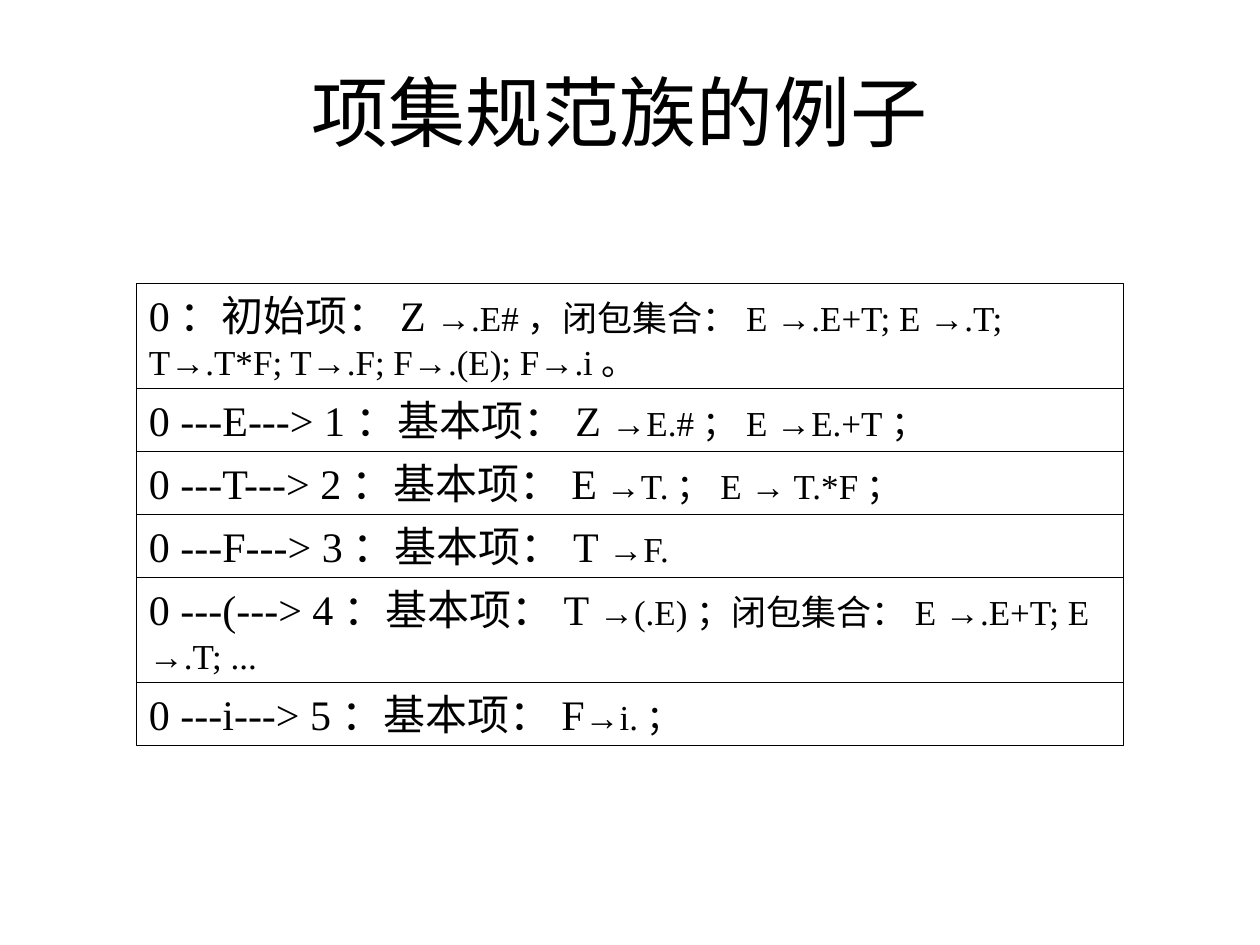
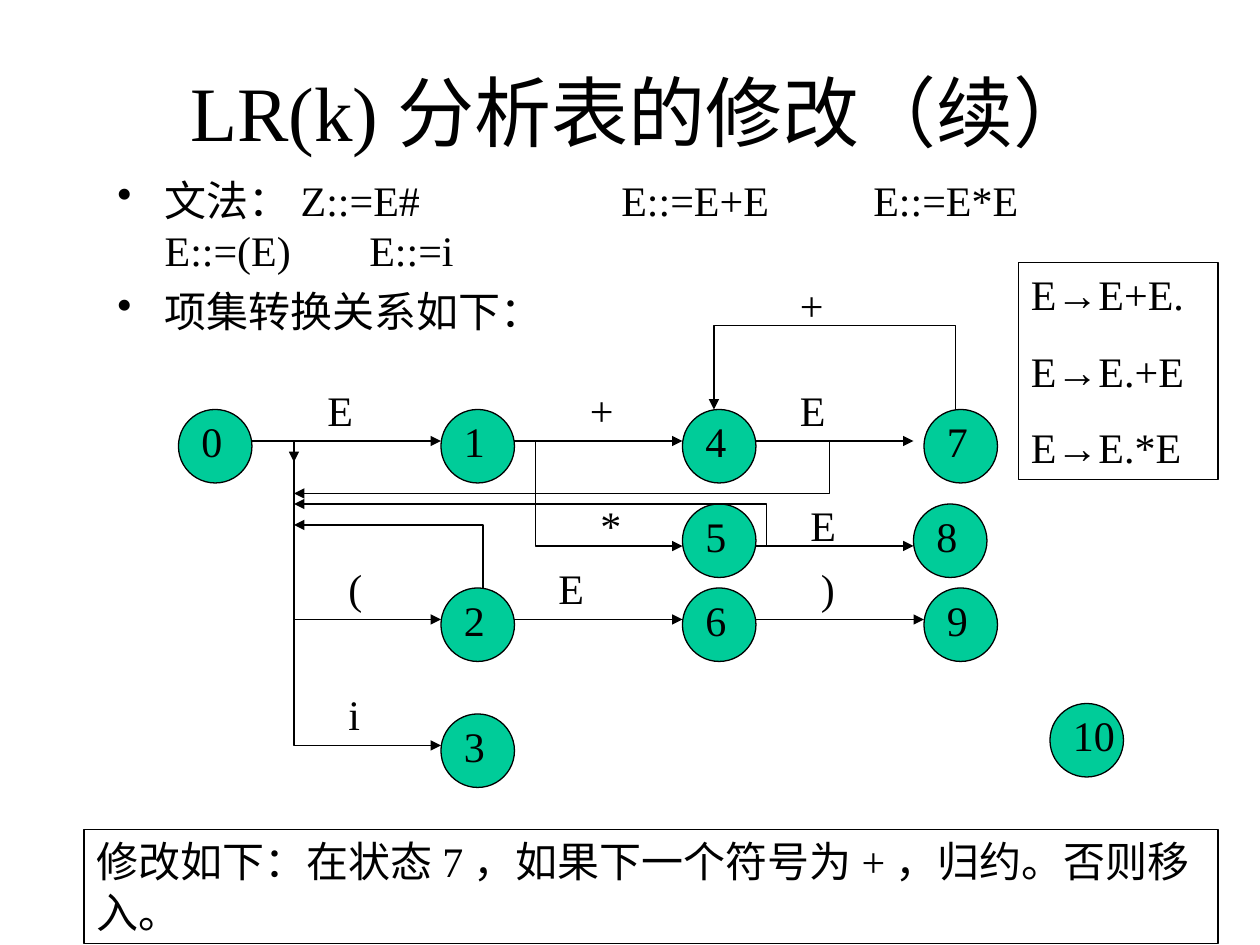
"""Build two slides on LR item sets: a stack of item sets and a state diagram."""
from lxml import etree
from pptx import Presentation
from pptx.dml.color import RGBColor
from pptx.enum.shapes import MSO_CONNECTOR, MSO_SHAPE
from pptx.enum.text import MSO_ANCHOR, MSO_AUTO_SIZE, PP_ALIGN
from pptx.oxml.ns import qn
from pptx.util import Pt

RECTANGLE, OVAL = MSO_SHAPE.RECTANGLE, MSO_SHAPE.OVAL
STRAIGHT = MSO_CONNECTOR.STRAIGHT
TOP, MIDDLE = MSO_ANCHOR.TOP, MSO_ANCHOR.MIDDLE
LEFT, CENTER = PP_ALIGN.LEFT, PP_ALIGN.CENTER
NO_AUTOFIT = MSO_AUTO_SIZE.NONE

COLORS = {"ink": "000000", "state": "00CC99"}
INK = RGBColor.from_string(COLORS["ink"])
FONT = "Times New Roman"
LINE_WIDTH = Pt(0.74)
STATE_SIZE = 42


def write(shape, paragraphs, space=15, align=LEFT, anchor=TOP):
    """Fill a shape with paragraphs, each a list of (text, size) runs."""
    frame = shape.text_frame
    frame_format = {
        "word_wrap": True, "auto_size": NO_AUTOFIT, "vertical_anchor": anchor,
        "margin_left": Pt(7.2), "margin_right": Pt(7.2),
        "margin_top": Pt(3.6), "margin_bottom": Pt(3.6),
    }
    for name, value in frame_format.items():
        setattr(frame, name, value)
    for index, runs in enumerate(paragraphs):
        paragraph = frame.paragraphs[0] if index == 0 else frame.add_paragraph()
        paragraph.alignment = align
        paragraph.space_before = Pt(space)
        for text, size in runs:
            run = paragraph.add_run()
            run.text = text
            for name, value in {"name": FONT, "size": Pt(size)}.items():
                setattr(run.font, name, value)
            run.font.color.rgb = INK


def outline(shape, fill=None):
    """Give a shape the thin ink line and a plain fill, or none."""
    shape.shadow.inherit = False
    shape.line.color.rgb = INK
    shape.line.width = LINE_WIDTH
    if fill:
        shape.fill.solid()
        shape.fill.fore_color.rgb = RGBColor.from_string(fill)
    else:
        shape.fill.background()


presentation = Presentation()
presentation.slide_width, presentation.slide_height = Pt(720), Pt(540)
title_only = presentation.slide_layouts[5]

slides = []
for text, left, top, width, height in [
    ("项集规范族的例子", 48, 24, 612, 78),
    ("LR(k)分析表的修改（续）", 60, 30, 612, 66),
]:
    slide = presentation.slides.add_slide(title_only)
    title = slide.shapes.title
    place = {"left": left, "top": top, "width": width, "height": height}
    for name, value in place.items():
        setattr(title, name, Pt(value))
    write(title, [[(text, 44)]], space=0, align=CENTER, anchor=MIDDLE)
    slides.append(slide)
item_slide, diagram_slide = slides

item_sets = [
    ("0：初始项：Z ", "→.E#，闭包集合：E →.E+T; E →.T; T→.T*F; T→.F; F→.(E); F→.i。", 60),
    ("0 ---E---> 1：基本项：Z ", "→E.#；E →E.+T；", 36),
    ("0 ---T---> 2：基本项：E", " →T.；E → T.*F；", 36),
    ("0 ---F---> 3：基本项：T ", "→F.", 36),
    ("0 ---(---> 4：基本项：T ", "→(.E)；闭包集合：E →.E+T; E →.T; ...", 60),
    ("0 ---i---> 5：基本项：F", "→i.；", 36),
]
row_top = 162
for head, items, height in item_sets:
    row = item_slide.shapes.add_shape(RECTANGLE, Pt(78), Pt(row_top), Pt(564), Pt(height))
    outline(row)
    write(row, [[(head, 24), (items, 20)]], space=12.5)
    row_top += height

shapes = diagram_slide.shapes
grammar = shapes.add_textbox(Pt(60), Pt(96), Pt(612), Pt(102))
write(grammar, [
    [("文法：Z::=E#\t\tE::=E+E\tE::=E*E\t\t\tE::=(E)\tE::=i", 24)],
    [("项集转换关系如下：", 24)],
], space=6)
for paragraph in grammar.text_frame.paragraphs:
    properties = paragraph._p.get_or_add_pPr()
    properties.set("marL", str(Pt(27)))
    properties.set("indent", str(-Pt(27)))
    etree.SubElement(properties, qn("a:buChar")).set("char", "•")
    tabs = etree.SubElement(properties, qn("a:tabLst"))
    for stop in range(1, 9):
        tab = etree.SubElement(tabs, qn("a:tab"))
        tab.set("pos", str(Pt(72 * stop)))
        tab.set("algn", "l")

states = [
    ("0", 102, 234), ("1", 252, 234), ("2", 252, 336), ("3", 252, 408),
    ("4", 390, 234), ("5", 390, 288), ("6", 390, 336),
    ("7", 528, 234), ("8", 522, 288), ("9", 528, 336), ("10", 600, 402),
]
for name, left, top in states:
    state = shapes.add_shape(OVAL, Pt(left), Pt(top), Pt(STATE_SIZE), Pt(STATE_SIZE))
    outline(state, COLORS["state"])

transitions = [
    [(144, 252), (252, 252)],
    [(168, 252), (168, 354), (252, 354)],
    [(168, 324), (168, 426), (252, 426)],
    [(294, 252), (390, 252)],
    [(306, 252), (306, 312), (390, 312)],
    [(294, 354), (390, 354)],
    [(276, 336), (276, 300), (168, 300)],
    [(432, 252), (522, 252)],
    [(474, 252), (474, 282), (168, 282)],
    [(432, 312), (522, 312)],
    [(438, 312), (438, 288), (168, 288)],
    [(432, 354), (528, 354)],
    [(168, 252), (168, 264)],
    [(546, 234), (546, 186), (408, 186), (408, 234)],
]
for points in transitions:
    start, *rest = [(Pt(x), Pt(y)) for x, y in points]
    if len(rest) == 1:
        arrow = shapes.add_connector(STRAIGHT, *start, *rest[0])
        arrow.line.color.rgb = INK
        arrow.line.width = LINE_WIDTH
        etree.SubElement(arrow._element.spPr, qn("a:effectLst"))
    else:
        builder = shapes.build_freeform(*start)
        builder.add_line_segments(rest, close=False)
        arrow = builder.convert_to_shape()
        outline(arrow)
    line = arrow._element.spPr.find(qn("a:ln"))
    etree.SubElement(line, qn("a:tailEnd")).set("type", "triangle")

labels = [(name, left + 6, top, 60) for name, left, top in states] + [
    ("E", 180, 216, 60), ("+", 330, 216, 30), ("E", 450, 216, 30),
    ("(", 192, 318, 48), ("i", 192, 390, 42), ("*", 336, 282, 36),
    ("E", 312, 318, 60), ("E", 456, 282, 30), (")", 462, 318, 30),
    ("+", 450, 156, 36),
]
for text, left, top, width in labels:
    label = shapes.add_textbox(Pt(left), Pt(top), Pt(width), Pt(36))
    write(label, [[(text, 24)]])

notes = [
    (["E→E+E.", "E→E.+E", "E→E.*E"], 582, 150, 114, 124),
    (["修改如下：在状态7，如果下一个符号为+，归约。否则移入。"], 48, 474, 648, 65),
]
for lines, left, top, width, height in notes:
    note = shapes.add_shape(RECTANGLE, Pt(left), Pt(top), Pt(width), Pt(height))
    outline(note)
    write(note, [[(text, 24)] for text in lines])

presentation.save("out.pptx")
